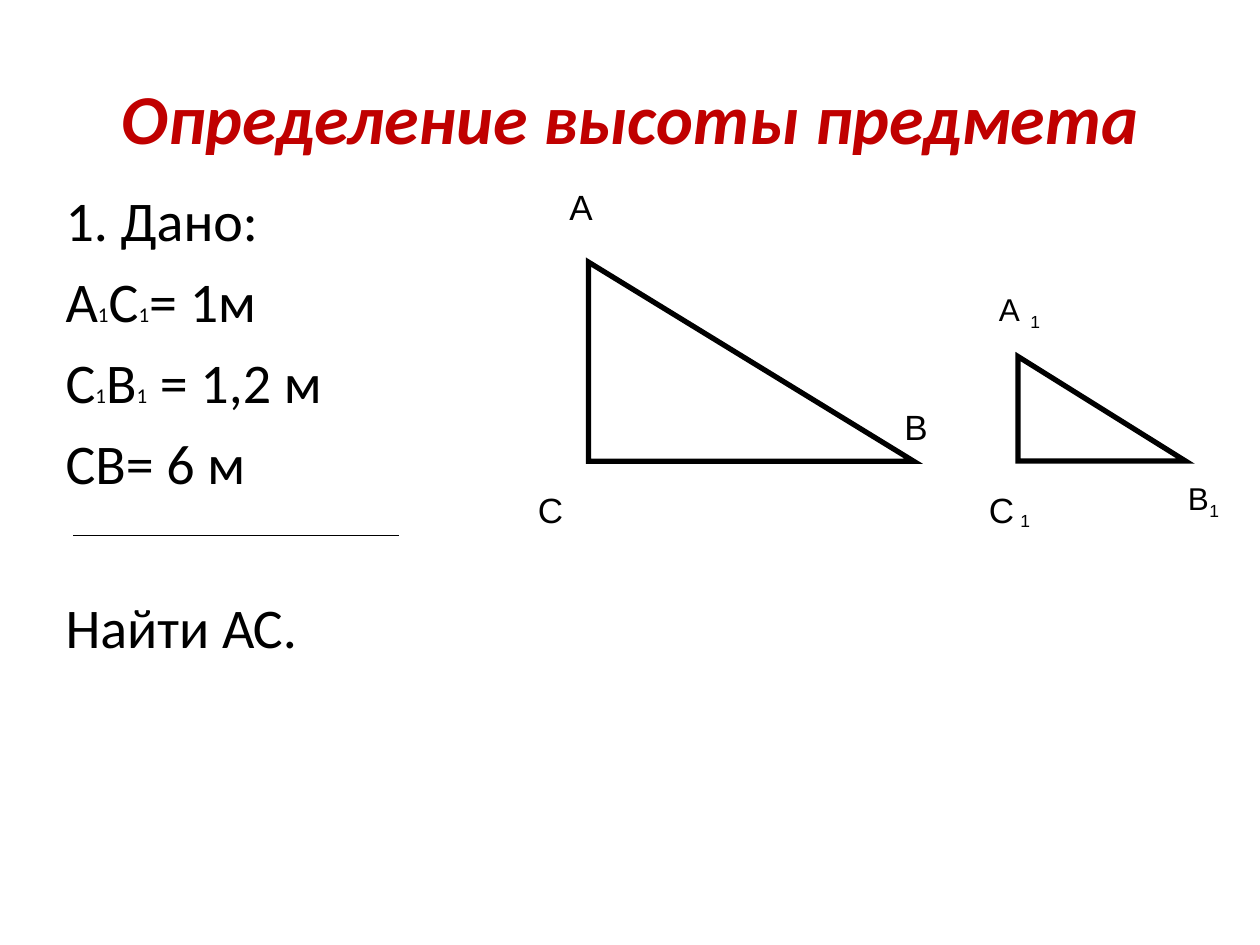
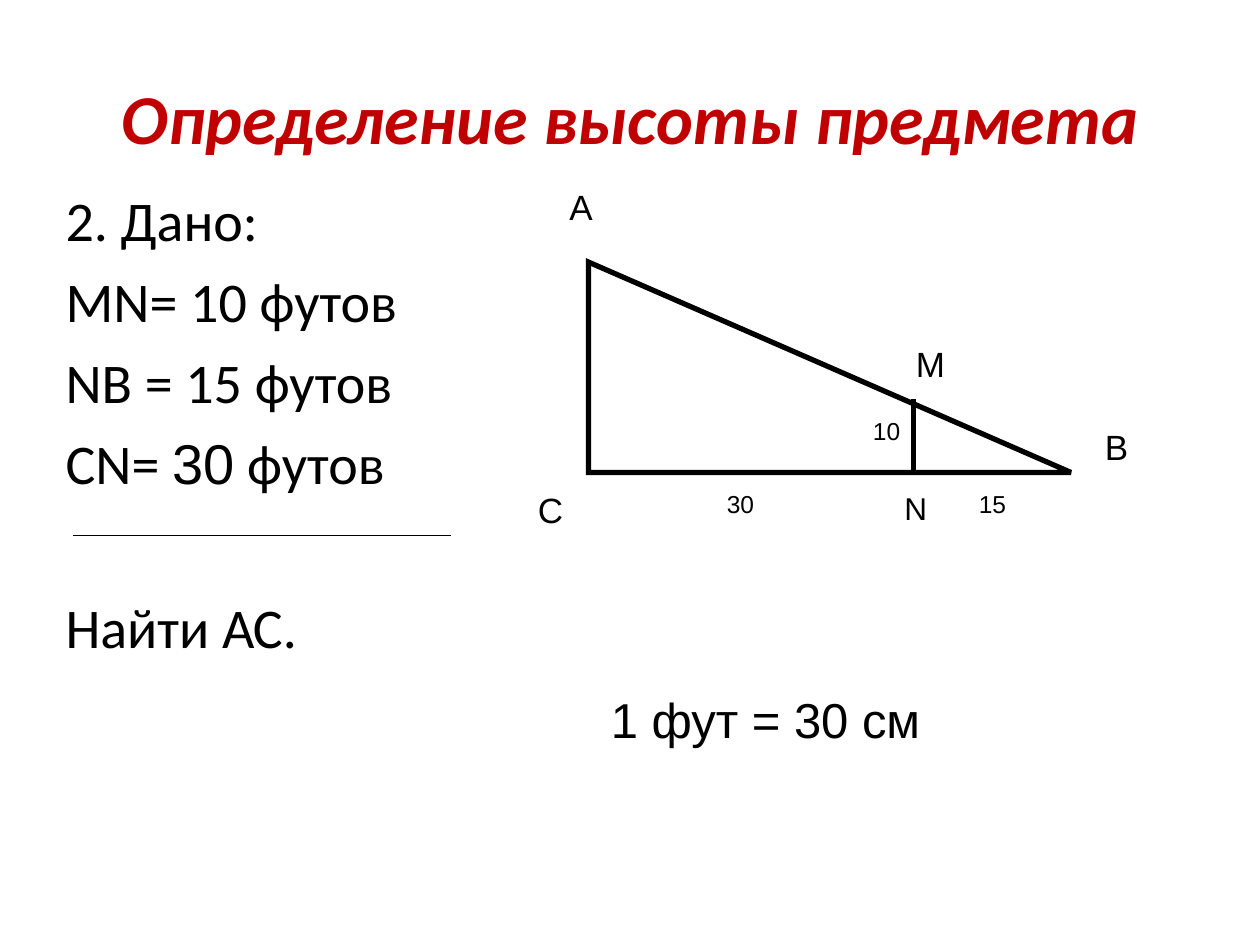
from dataclasses import dataclass

from lxml import etree
from pptx import Presentation
from pptx.dml.color import RGBColor
from pptx.enum import shapes, text
from pptx.oxml import ns
from pptx.util import Inches, Pt


@dataclass(frozen=True)
class Theme:
    ink: RGBColor = RGBColor(0, 0, 0)
    accent: RGBColor = RGBColor(0xC0, 0, 0)
    prose_font: str = "Calibri"
    label_font: str = "Arial"
    title: int = 40
    body: int = 32
    index: int = 12
    note: int = 28
    vertex: int = 20
    small_vertex: int = 18
    measure: int = 14
    vertex_index: int = 10
    figure_line: float = 3
    rule_line: float = 0.75


@dataclass(frozen=True)
class Box:
    left: float
    top: float
    width: float
    height: float

    def place(self, shape):
        shape.left, shape.top = Inches(self.left), Inches(self.top)
        shape.width, shape.height = Inches(self.width), Inches(self.height)


THEME = Theme()
TITLE_BOX = Box(0.5, 0.3, 9, 1.25)
GIVEN_BOX = Box(0.42, 1.42, 9, 5.62)
FIGURE_BOX = Box(4.17, 1.42, 5.58, 4.57)
HEADING = "Определение высоты предмета"
GOAL = "Найти АС."
LINE_GAP = 8
GOAL_GAP = 55


def add_run(paragraph, words, size, font=THEME.prose_font, color=THEME.ink):
    run = paragraph.add_run()
    run.text = words
    run.font.size = Pt(size)
    run.font.name = font
    run.font.color.rgb = color
    return run


def add_line(slide, start, end, weight):
    points = [Inches(value) for value in (*start, *end)]
    line = slide.shapes.add_connector(shapes.MSO_CONNECTOR.STRAIGHT, *points)
    line.line.color.rgb = THEME.ink
    line.line.width = Pt(weight)
    etree.SubElement(line._element.spPr, ns.qn("a:effectLst"))


def add_heading(slide, box):
    title = slide.shapes.title
    box.place(title)
    frame = title.text_frame
    frame.vertical_anchor = text.MSO_ANCHOR.MIDDLE
    frame.auto_size = text.MSO_AUTO_SIZE.NONE
    paragraph = frame.paragraphs[0]
    paragraph.alignment = text.PP_ALIGN.CENTER
    run = add_run(paragraph, HEADING, THEME.title, color=THEME.accent)
    run.font.bold = run.font.italic = True


def add_given(slide, box, rows, rule_length):
    """Lists the known values, a rule under them, and the value to find.

    Each row is a list of runs: words, then optionally a size and a font.
    """
    given = slide.placeholders[1]
    box.place(given)
    frame = given.text_frame
    frame.auto_size = text.MSO_AUTO_SIZE.NONE
    all_rows = [*rows, [(GOAL,)]]
    for number, row in enumerate(all_rows):
        paragraph = frame.add_paragraph() if number else frame.paragraphs[0]
        last = number == len(all_rows) - 1
        paragraph.space_before = Pt(GOAL_GAP if last else LINE_GAP if number else 0)
        properties = paragraph._p.get_or_add_pPr()
        properties.set("marL", str(Inches(0.38)))
        properties.set("indent", str(-Inches(0.38)))
        etree.SubElement(properties, ns.qn("a:buNone"))
        for words, *style in row:
            add_run(paragraph, words, *(style or [THEME.body]))
    left, top = box.left + 0.16, box.top + 2.83
    add_line(slide, (left, top), (left + rule_length, top), THEME.rule_line)


def add_triangle(slide, box):
    triangle = slide.shapes.add_shape(shapes.MSO_SHAPE.RIGHT_TRIANGLE, 0, 0, 0, 0)
    box.place(triangle)
    triangle.shadow.inherit = False
    triangle.fill.background()
    triangle.line.color.rgb = THEME.ink
    triangle.line.width = Pt(THEME.figure_line)
    etree.SubElement(triangle.line._get_or_add_ln(), ns.qn("a:miter"), lim="800000")


def add_label(slide, left, top, words, size, width):
    label = slide.shapes.add_textbox(0, 0, 0, 0)
    Box(left, top, width, round(size * 1.2 / 72 + 0.1, 2)).place(label)
    frame = label.text_frame
    frame.word_wrap = True
    add_run(frame.paragraphs[0], words, size, THEME.label_font)


def add_figure(slide, box, triangles, labels, heights=()):
    """Draws triangles, inner heights and labels, measured from the box corner."""
    for left, top, width, height in triangles:
        add_triangle(slide, Box(box.left + left, box.top + top, width, height))
    for left, top, length in heights:
        x, y = box.left + left, box.top + top
        add_line(slide, (x, y), (x, y + length), THEME.figure_line)
    for left, top, words, size, width in labels:
        add_label(slide, box.left + left, box.top + top, words, size, width)


def add_problem(deck, rows, rule_length, **figure):
    slide = deck.slides.add_slide(deck.slide_layouts[1])
    add_heading(slide, TITLE_BOX)
    add_given(slide, GIVEN_BOX, rows, rule_length)
    add_figure(slide, FIGURE_BOX, **figure)


def main():
    deck = Presentation()
    deck.slide_width, deck.slide_height = Inches(10), Inches(7.5)

    index = ("1", THEME.index)
    shared_labels = [
        (0.25, 0, "А", THEME.vertex, 0.5),
        (0, 2.41, "С", THEME.vertex, 0.5),
    ]

    add_problem(
        deck,
        rows=[
            [("1. Дано:",)],
            [("А",), index, ("С",), index, ("= 1м",)],
            [("С",), index, ("В",), index, (" = 1,2 м",)],
            [("СВ= 6 м",)],
        ],
        rule_length=2.59,
        triangles=[(0.5, 0.66, 2.58, 1.58), (3.91, 1.41, 1.33, 0.83)],
        labels=[
            *shared_labels,
            (2.91, 1.75, "В", THEME.vertex, 0.5),
            (3.58, 2.41, "C", THEME.vertex, 0.5),
            (5.16, 2.33, "В", THEME.small_vertex, 0.42),
            (3.66, 0.83, "А", THEME.small_vertex, 0.5),
            (3.83, 2.58, "1", THEME.vertex_index, 0.25),
            (5.33, 2.5, "1", THEME.vertex_index, 0.25),
            (3.91, 1, "1", THEME.vertex_index, 0.25),
        ],
    )

    add_problem(
        deck,
        rows=[
            [("2. Дано:",)],
            [("МN= 10 футов",)],
            [("NВ = 15 футов",)],
            [("СN= ",), ("30", THEME.body, THEME.label_font), (" футов",)],
        ],
        rule_length=3,
        triangles=[(0.5, 0.66, 3.83, 1.67)],
        heights=[(3.08, 1.75, 0.58)],
        labels=[
            *shared_labels,
            (4.5, 1.91, "В", THEME.vertex, 0.5),
            (2.91, 2.41, "N", THEME.small_vertex, 0.5),
            (3, 1.25, "М", THEME.vertex, 0.5),
            (2.66, 1.83, "10", THEME.measure, 0.5),
            (1.5, 2.41, "30", THEME.measure, 0.75),
            (3.5, 2.41, "15", THEME.measure, 0.5),
            (0.58, 4, "1 фут = 30 см", THEME.note, 3),
        ],
    )

    deck.save("out.pptx")


if __name__ == "__main__":
    main()
